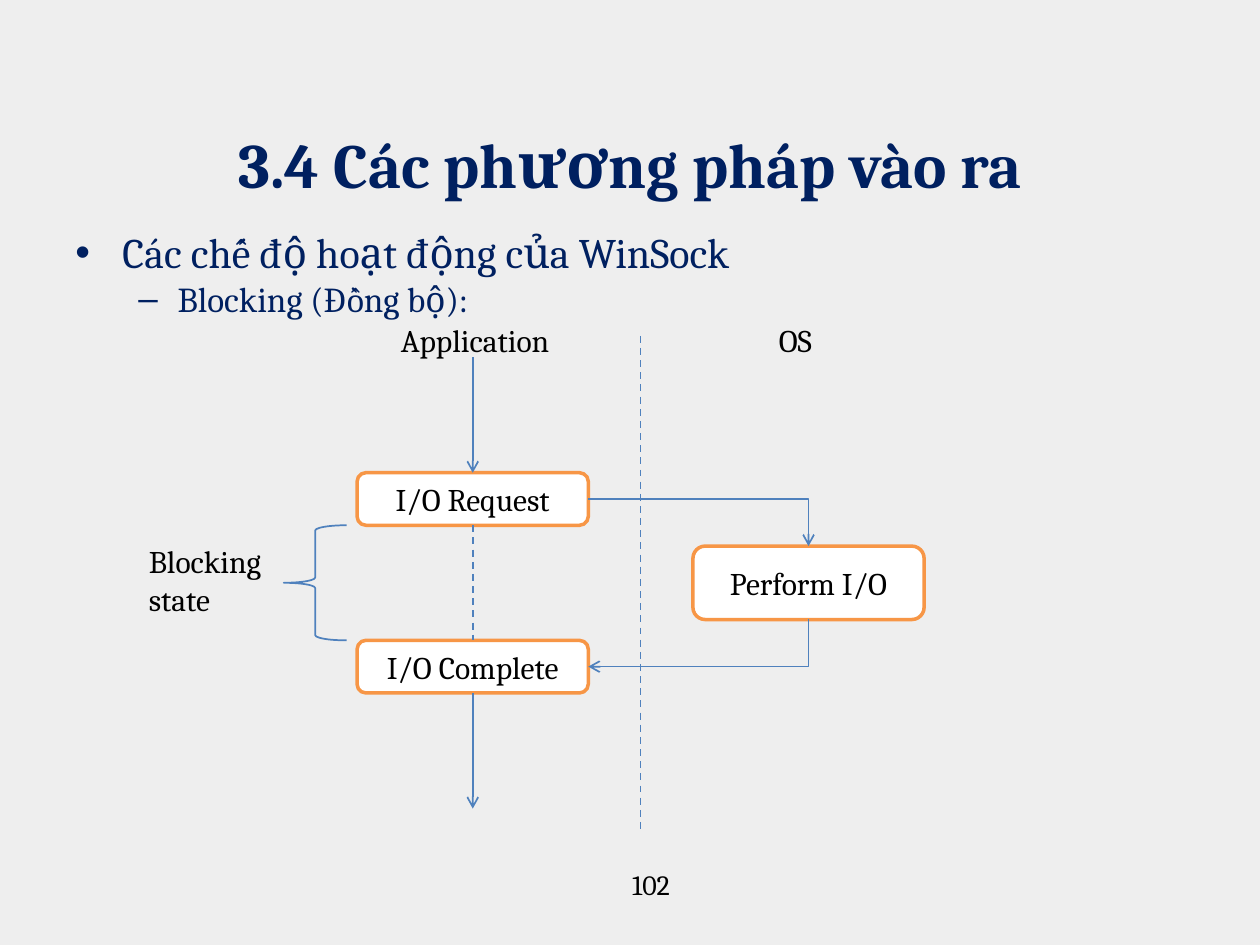
from lxml import etree
from pptx import Presentation
from pptx.dml.color import RGBColor
from pptx.enum.dml import MSO_LINE
from pptx.enum.shapes import MSO_CONNECTOR, MSO_SHAPE
from pptx.enum.text import MSO_ANCHOR, PP_ALIGN
from pptx.oxml.ns import qn
from pptx.util import Cm, Pt

STRAIGHT, ELBOW = MSO_CONNECTOR.STRAIGHT, MSO_CONNECTOR.ELBOW
ROUNDED, BRACE = MSO_SHAPE.ROUNDED_RECTANGLE, MSO_SHAPE.LEFT_BRACE
LEFT, CENTER = PP_ALIGN.LEFT, PP_ALIGN.CENTER
TOP_ANCHOR, MIDDLE, BOTTOM_ANCHOR = MSO_ANCHOR.TOP, MSO_ANCHOR.MIDDLE, MSO_ANCHOR.BOTTOM
DASH = MSO_LINE.DASH
TOP, RIGHT, BOTTOM = 0, 3, 2  # connection sites

COLORS = {
    "background": "EEEEEE",
    "heading": "002060",
    "text": "000000",
    "box": "FFFFFF",
    "border": "F79646",
    "line": "4F81BD",
}


class SlideBuilder:
    font = "Cambria"

    def __init__(self, page):
        self.page = page
        page.background.fill.solid()
        page.background.fill.fore_color.rgb = self.color("background")

    def color(self, name):
        return RGBColor.from_string(COLORS[name])

    def style_text(self, para, size, color, align=LEFT, bold=False):
        para.alignment = align
        for span in para.runs:
            span.font.name = self.font
            span.font.size = Pt(size)
            span.font.bold = bold
            span.font.color.rgb = self.color(color)

    def style_line(self, line, color="line", width=1):
        line.color.rgb = self.color(color)
        line.width = Pt(width)

    def text(self, text, left, top, width, height, size=18, color="text",
             align=LEFT, anchor=TOP_ANCHOR, bold=False):
        box = self.page.shapes.add_textbox(Cm(left), Cm(top), Cm(width), Cm(height))
        frame = box.text_frame
        frame.word_wrap = True
        frame.vertical_anchor = anchor
        frame.text = text
        self.style_text(frame.paragraphs[0], size, color, align, bold)

    def bullets(self, items, left, top, width, height):
        box = self.page.shapes.add_textbox(Cm(left), Cm(top), Cm(width), Cm(height))
        frame = box.text_frame
        frame.word_wrap = True
        frame.text = "\n".join(item[0] for item in items)
        for para, (_, level, mark, margin, hanging, size) in zip(frame.paragraphs, items):
            para.level = level
            properties = para._p.get_or_add_pPr()
            properties.set("marL", str(Cm(margin)))
            properties.set("indent", str(-Cm(hanging)))
            etree.SubElement(properties, qn("a:buFont")).set("typeface", "Arial")
            etree.SubElement(properties, qn("a:buChar")).set("char", mark)
            self.style_text(para, size, "heading")

    def step(self, text, left, top, width, height):
        box = self.page.shapes.add_shape(ROUNDED, Cm(left), Cm(top), Cm(width), Cm(height))
        box.shadow.inherit = False
        box.fill.solid()
        box.fill.fore_color.rgb = self.color("box")
        self.style_line(box.line, "border", 2)
        box.text_frame.text = text
        box.text_frame.vertical_anchor = MIDDLE
        self.style_text(box.text_frame.paragraphs[0], 18, "text", CENTER)
        return box

    def brace(self, left, top, width, height):
        brace = self.page.shapes.add_shape(BRACE, Cm(left), Cm(top), Cm(width), Cm(height))
        brace.shadow.inherit = False
        brace.fill.background()
        self.style_line(brace.line)

    def connector(self, start, end, begin=None, finish=None, kind=STRAIGHT,
                  dash=None, arrow=None):
        """Draw from start to end; begin and finish are (box, site) pairs."""
        points = [Cm(value) for value in (*start, *end)]
        connector = self.page.shapes.add_connector(kind, *points)
        if begin:
            connector.begin_connect(*begin)
        if finish:
            connector.end_connect(*finish)
        self.style_line(connector.line)
        if dash:
            connector.line.dash_style = dash
        properties = connector._element.spPr
        if kind == ELBOW:  # a single corner
            properties.find(qn("a:prstGeom")).set("prst", "bentConnector2")
        if arrow:
            outline = properties.find(qn("a:ln"))
            etree.SubElement(outline, qn("a:" + arrow)).set("type", "arrow")
        etree.SubElement(properties, qn("a:effectLst"))


def main():
    deck = Presentation()
    deck.slide_width, deck.slide_height = Cm(25.4), Cm(19.05)
    slide = SlideBuilder(deck.slides.add_slide(deck.slide_layouts[6]))

    # Heading, bullets and page number
    slide.text("3.4 Các phương pháp vào ra", 1.27, 0.99, 22.86, 3.18, 36,
               "heading", CENTER, BOTTOM_ANCHOR, True)
    slide.bullets([
        ("Các chế độ hoạt động của WinSock", 0, "•", 0.95, 0.95, 24),
        ("Blocking (Đồng bộ):", 1, "–", 2.06, 0.79, 20),
    ], 1.27, 4.45, 22.86, 12.57)
    slide.text("102", 2.12, 17.36, 22.01, 1.32, 16, align=CENTER)

    # Column labels and divider
    slide.text("Application", 7.83, 6.35, 4.45, 1.03)
    slide.text("OS", 15.45, 6.35, 2.33, 1.03)
    slide.connector((12.91, 6.77), (12.91, 16.72), dash=DASH)

    # Steps
    width, height = 4.66, 1.06
    app_left, os_left = 7.2, 13.97
    request_top, perform_top, complete_top = 9.53, 11.01, 12.91
    request = slide.step("I/O Request", app_left, request_top, width, height)
    complete = slide.step("I/O Complete", app_left, complete_top, width, height)
    perform = slide.step("Perform I/O", os_left, perform_top, width, 1.48)

    # Application flow
    middle = app_left + width / 2
    request_bottom, complete_bottom = request_top + height, complete_top + height
    slide.connector((middle, 7.2), (middle, request_top),
                    finish=(request, TOP), arrow="tailEnd")
    slide.connector((middle, request_bottom), (middle, complete_top),
                    (request, BOTTOM), (complete, TOP), dash=DASH)
    slide.connector((middle, complete_bottom), (middle, 16.3),
                    (complete, BOTTOM), arrow="tailEnd")

    # Hand-over to the system and back
    app_right, os_middle = app_left + width, os_left + width / 2
    slide.connector((app_right, request_top + height / 2), (os_middle, perform_top),
                    (request, RIGHT), (perform, TOP), ELBOW, arrow="tailEnd")
    slide.connector((app_right, complete_top + height / 2), (os_middle, perform_top + 1.48),
                    (complete, RIGHT), (perform, BOTTOM), ELBOW, arrow="headEnd")

    # Blocking interval
    slide.brace(5.72, request_bottom, 1.27, complete_top - request_bottom)
    slide.text("Blocking state", 2.75, 10.8, 2.96, 1.8)

    deck.save("out.pptx")


if __name__ == "__main__":
    main()
